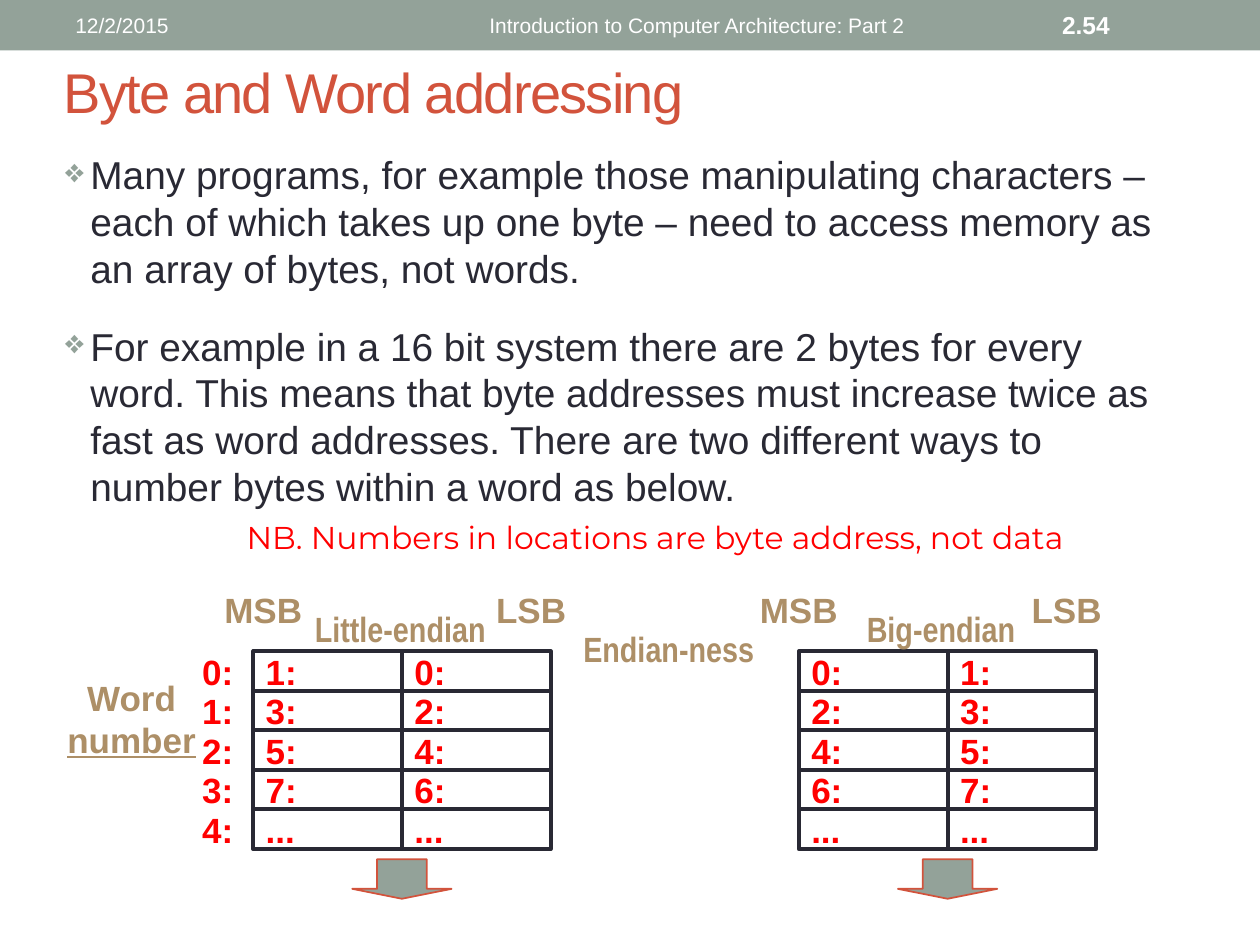
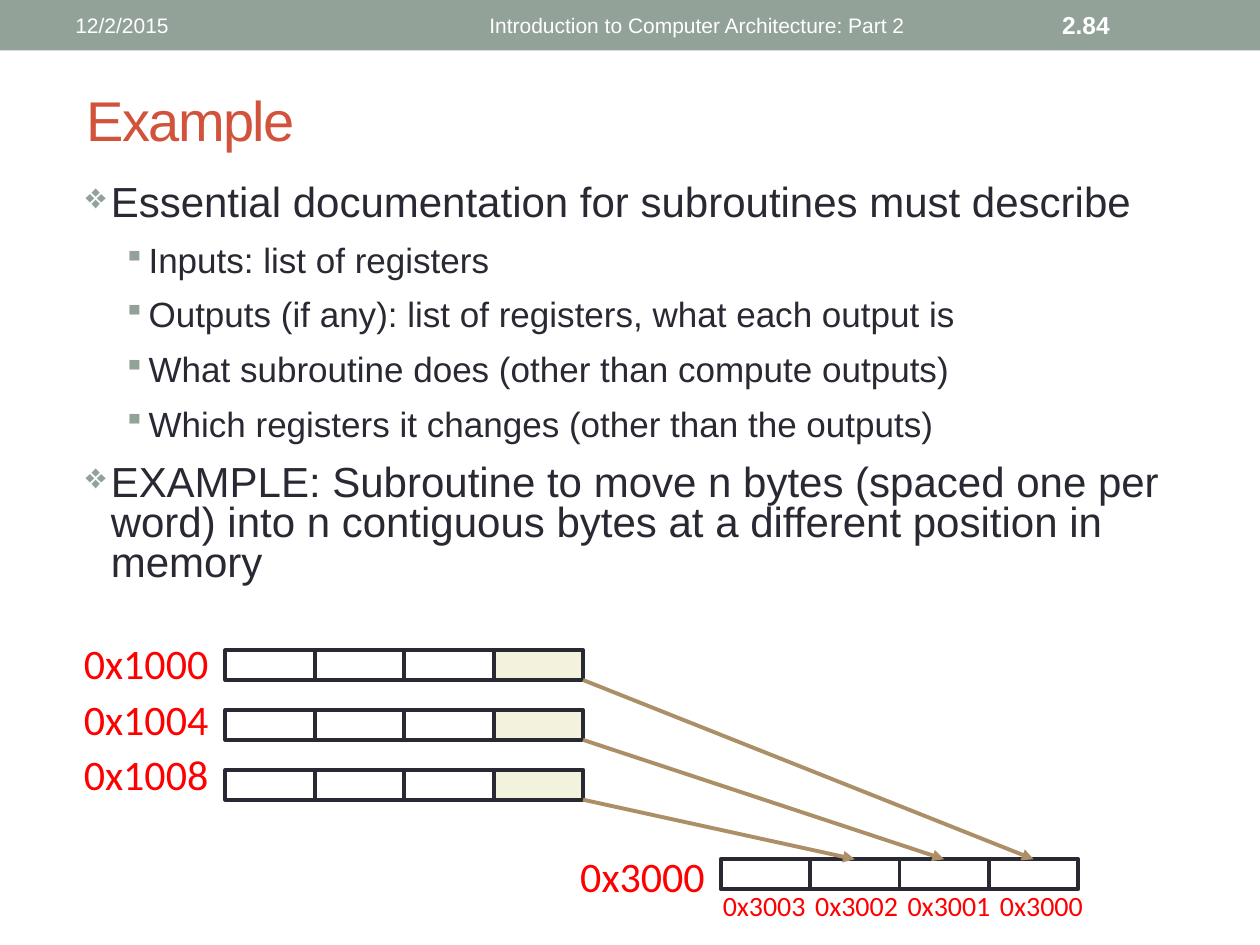
from dataclasses import dataclass, field

from lxml import etree
from pptx import Presentation
from pptx.dml.color import RGBColor
from pptx.enum.shapes import MSO_CONNECTOR, MSO_SHAPE
from pptx.enum.text import MSO_ANCHOR, PP_ALIGN
from pptx.oxml.ns import qn
from pptx.util import Pt

SAGE = RGBColor(0x93, 0xA2, 0x99)
RUST = RGBColor(0xD2, 0x53, 0x3C)
INK = RGBColor(0x29, 0x29, 0x34)
TAN = RGBColor(0xAD, 0x8F, 0x67)
CREAM = RGBColor(0xF3, 0xF2, 0xDC)
RED = RGBColor(0xFF, 0x00, 0x00)
WHITE = RGBColor(0xFF, 0xFF, 0xFF)

LEFT, CENTER, RIGHT = PP_ALIGN.LEFT, PP_ALIGN.CENTER, PP_ALIGN.RIGHT
TOP, MIDDLE = MSO_ANCHOR.TOP, MSO_ANCHOR.MIDDLE


@dataclass(frozen=True)
class Box:
    x: float
    y: float
    w: float
    h: float

    def lengths(self) -> list:
        return [Pt(v) for v in (self.x, self.y, self.w, self.h)]


@dataclass(frozen=True)
class Style:
    size: float
    color: RGBColor
    name: str = "Arial"
    bold: bool = False
    align: PP_ALIGN = LEFT
    anchor: MSO_ANCHOR = TOP
    wrap: bool = True
    after: float = 0

    def font(self) -> dict:
        return {"size": Pt(self.size), "name": self.name, "bold": self.bold}


@dataclass(frozen=True)
class Bullet:
    text: str
    size: float
    level: int = 0


@dataclass(frozen=True)
class BulletList:
    box: Box
    before: float
    spacing: float
    items: list = field(default_factory=list)


@dataclass(frozen=True)
class ByteTable:
    name: str
    x: float
    name_box: Box
    msb_x: float
    order: tuple


TITLE = Style(32, RUST, anchor=MIDDLE)
HEADER = Style(12, WHITE, anchor=MIDDLE)
HEADER_RIGHT = Style(12, WHITE, align=RIGHT, anchor=MIDDLE)
PAGE = Style(14, WHITE, bold=True, anchor=MIDDLE)
CELL = Style(20, RED, bold=True, anchor=MIDDLE)
ROW_LABEL = Style(20, RED, bold=True, align=CENTER, anchor=MIDDLE)
CAPTION = Style(20, TAN, bold=True, align=CENTER)
NARROW = Style(20, TAN, "Arial Narrow", True)
NOTE = Style(18, RED, "Montserrat", align=CENTER)
ADDRESS = Style(24, RED, "Calibri", align=CENTER, wrap=False, after=3)
BYTE_ADDRESS = Style(16, RED, "Calibri", align=CENTER, wrap=False)

MARKS = (("❖", 14.4), ("▪", 36))

ADDRESSING = BulletList(Box(30.2, 82.8, 635.8, 185), 18, 1, [
    Bullet("Many programs, for example those manipulating characters – each of which "
           "takes up one byte – need to access memory as an array of bytes, not words.", 22.2),
    Bullet("For example in a 16 bit system there are 2 bytes for every word. This means "
           "that byte addresses must increase twice as fast as word addresses. There are "
           "two different ways to number bytes within a word as below.", 22.2),
])
SUBROUTINES = BulletList(Box(41.8, 102.2, 646.6, 252.7), 12, 0.8, [
    Bullet("Essential documentation for subroutines must describe", 24),
    Bullet("Inputs: list of registers", 20, 1),
    Bullet("Outputs (if any): list of registers, what each output is", 20, 1),
    Bullet("What subroutine does (other than compute outputs)", 20, 1),
    Bullet("Which registers it changes (other than the outputs)", 20, 1),
    Bullet("EXAMPLE: Subroutine to move n bytes (spaced one per word) into n contiguous "
           "bytes at a different position in memory", 24),
])

TABLES = [
    ByteTable("Little-endian", 144.7, Box(172.8, 343.4, 138.2, 31), 105.1, (1, 0)),
    ByteTable("Big-endian", 456.5, Box(488.2, 343.4, 121, 31), 411.1, (0, 1)),
]
ROWS, ROW_TOP, ROW_PITCH, CELL_W, CELL_H = 5, 372.1, 22.6, 85, 22.7
BYTE_W, BYTE_H, WORD_PITCH = 51.1, 17.1, 34.2
SOURCE_X, SOURCE_Y, TARGET_X, TARGET_Y = 128.8, 371.5, 411.8, 491


def style_frame(tf, st: Style) -> None:
    tf.word_wrap = st.wrap
    tf.vertical_anchor = st.anchor


def add_run(p, text: str, st: Style, **extra):
    p.alignment = st.align
    p.space_after = Pt(st.after)
    r = p.add_run()
    r.text = text
    for key, value in {**st.font(), **extra}.items():
        setattr(r.font, key, value)
    r.font.color.rgb = st.color
    return r


def add_text(s, box: Box, st: Style, *lines: str):
    tf = s.shapes.add_textbox(*box.lengths()).text_frame
    style_frame(tf, st)
    for i, line in enumerate(lines):
        p = tf.add_paragraph() if i else tf.paragraphs[0]
        add_run(p, line, st)
    return tf


def add_block(s, box: Box, fill=None, line=None, weight: float = 2.25,
              kind=MSO_SHAPE.RECTANGLE):
    sp = s.shapes.add_shape(kind, *box.lengths())
    sp.shadow.inherit = False
    if fill is None:
        sp.fill.background()
    else:
        sp.fill.solid()
        sp.fill.fore_color.rgb = fill
    if line is None:
        sp.line.fill.background()
    else:
        sp.line.color.rgb = line
        sp.line.width = Pt(weight)
    return sp


def add_bullet(p, item: Bullet) -> None:
    mark, margin = MARKS[item.level]
    pPr = p._p.get_or_add_pPr()
    pPr.set("marL", str(Pt(margin)))
    pPr.set("indent", str(-Pt(14.4)))
    color = etree.SubElement(pPr, qn("a:buClr"))
    etree.SubElement(color, qn("a:srgbClr"), val=str(SAGE))
    etree.SubElement(pPr, qn("a:buSzPct"), val="85000")
    etree.SubElement(pPr, qn("a:buChar"), char=mark)


def add_bullets(s, body: BulletList) -> None:
    tf = add_text(s, body.box, Style(24, INK))
    for i, item in enumerate(body.items):
        p = tf.add_paragraph() if i else tf.paragraphs[0]
        p.level = item.level
        add_bullet(p, item)
        p.line_spacing = body.spacing
        if i:
            p.space_before = Pt(body.before)
        add_run(p, item.text, Style(item.size, INK))


def add_arrow(s, x: float, y: float, target) -> None:
    c = s.shapes.add_connector(MSO_CONNECTOR.STRAIGHT, Pt(x), Pt(y), Pt(x), Pt(y))
    c.end_connect(target, 0)
    c.line.color.rgb = TAN
    c.line.width = Pt(2.25)
    etree.SubElement(c.line._get_or_add_ln(), qn("a:tailEnd"), type="triangle")
    etree.SubElement(c._element.spPr, qn("a:effectLst"))


def add_base(prs, title: str, x: float, y: float, page: str):
    s = prs.slides.add_slide(prs.slide_layouts[6])
    add_block(s, Box(0, 0, 720, 28.8), SAGE)
    add_text(s, Box(36, 1.4, 148.3, 25.9), HEADER, "12/2/2015")
    add_text(s, Box(200.2, 1.4, 324, 25.9), HEADER_RIGHT,
             "Introduction to Computer Architecture: Part 2")
    add_text(s, Box(599.8, 1.4, 84.2, 25.9), PAGE, page)
    tf = add_text(s, Box(x, y, 648, 52.6), TITLE, title)
    tf.paragraphs[0].runs[0]._r.get_or_add_rPr().set("spc", "-100")
    return s


def add_byte_table(s, table: ByteTable) -> None:
    for row in range(ROWS):
        for col, offset in enumerate(table.order):
            sp = add_block(s, Box(table.x + col * CELL_W, ROW_TOP + row * ROW_PITCH,
                                  CELL_W, CELL_H), line=INK)
            style_frame(sp.text_frame, CELL)
            text = f"{2 * row + offset}:" if row < ROWS - 1 else "..."
            add_run(sp.text_frame.paragraphs[0], text, CELL)
    for i, name in enumerate(("MSB", "LSB")):
        add_text(s, Box(table.msb_x + i * 153.1, 332.6, 90.7, 31), CAPTION, name)
    add_text(s, table.name_box, NARROW, table.name)
    arrow = add_block(s, Box(table.x + CELL_W - 28.4, 491, 56.8, 22.6), SAGE, RUST, 1,
                      MSO_SHAPE.DOWN_ARROW)
    arrow.adjustments[0], arrow.adjustments[1] = 0.5, 0.25


def add_word(s, x: float, y: float, last_fill=None) -> list:
    return [add_block(s, Box(x + i * BYTE_W, y, BYTE_W, BYTE_H),
                      last_fill if i == 3 else None, INK) for i in range(4)]


def build_addressing(prs) -> None:
    s = add_base(prs, "Byte and Word addressing", 29.5, 25.9, "2.54")
    add_bullets(s, ADDRESSING)
    for table in TABLES:
        add_byte_table(s, table)
    for row in range(ROWS):
        add_text(s, Box(104.6, ROW_TOP + row * ROW_PITCH, 39.6, CELL_H), ROW_LABEL, f"{row}:")
    tf = add_text(s, Box(23, 383, 104.4, 55.4), CAPTION, "Word ")
    add_run(tf.paragraphs[0], "number", CAPTION, underline=True)
    add_text(s, Box(326.2, 355, 138.2, 31), NARROW, "Endian-ness")
    add_text(s, Box(106.6, 292.3, 535.7, 28.8), NOTE,
             "NB. Numbers in locations are byte address, not data")


def build_example(prs) -> None:
    s = add_base(prs, "Example", 42.5, 41.8, "2.84")
    add_bullets(s, SUBROUTINES)
    target = add_word(s, TARGET_X, TARGET_Y)
    for row in range(3):
        y = SOURCE_Y + row * WORD_PITCH
        add_word(s, SOURCE_X, y, CREAM)
        add_arrow(s, SOURCE_X + 4 * BYTE_W, y + BYTE_H, target[3 - row])
    add_text(s, Box(40.3, 360.7, 86.4, 103), ADDRESS, "0x1000", "0x1004", "0x1008")
    add_text(s, Box(324, 482.4, 86.4, 36), ADDRESS, "0x3000")
    for i in range(4):
        add_text(s, Box(405.4 + i * 52.8, 504, 62.6, 26.6), BYTE_ADDRESS, f"0x300{3 - i}")


def main() -> None:
    prs = Presentation()
    prs.slide_width, prs.slide_height = Pt(720), Pt(540)
    build_addressing(prs)
    build_example(prs)
    prs.save("out.pptx")


if __name__ == "__main__":
    main()
